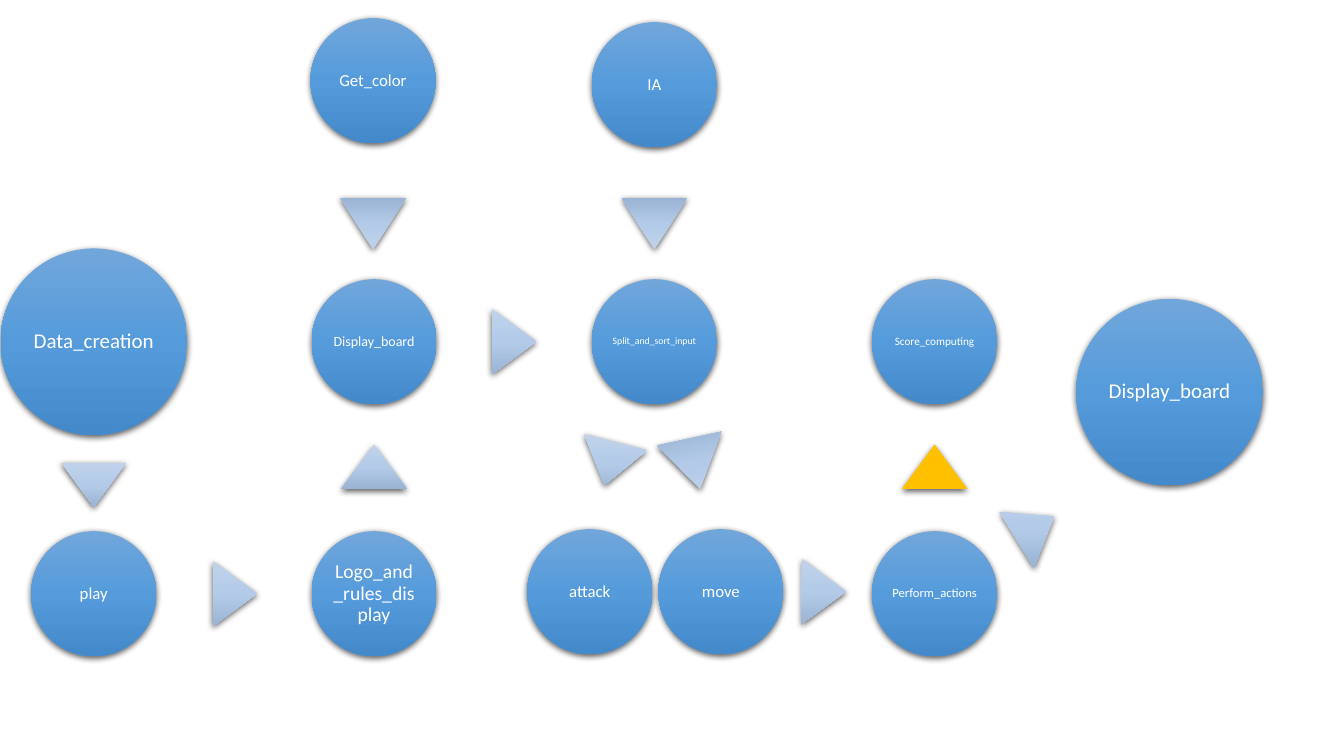
from lxml.etree import SubElement
from pptx import Presentation
from pptx.dml.color import RGBColor
from pptx.enum.shapes import MSO_SHAPE
from pptx.enum.text import MSO_ANCHOR, PP_ALIGN
from pptx.oxml.ns import qn
from pptx.util import Inches, Pt

CIRCLE_STOPS = ["71A6DB", "559BDB", "448ACA"]
ARROW_STOPS = ["C0D2EB", "B3CBE9", "9BB4D3"]
GOLD = "FFC000"
SMALL, LARGE = 1.24, 1.85  # circle diameters
ARROW_WIDTH, SHORT, TALL = 0.65, 0.44, 0.51

# Centres of the regular grid
COLUMNS = [0.93 + 2.78 * index for index in range(4)]
MIDDLE_ROW, BOTTOM_ROW = 3.39, 5.89
PAIR_ROW = 5.87  # attack and move sit slightly higher

# Label, centre x, centre y, diameter, text size
FUNCTIONS = [
    ("Data_creation", COLUMNS[0], MIDDLE_ROW, LARGE, 15),
    ("play", COLUMNS[0], BOTTOM_ROW, SMALL, 12),
    ("Logo_and_rules_display", COLUMNS[1], BOTTOM_ROW, SMALL, 14),
    ("Display_board", COLUMNS[1], MIDDLE_ROW, SMALL, 10),
    ("Split_and_sort_input", COLUMNS[2], MIDDLE_ROW, SMALL, 7),
    ("attack", 5.85, PAIR_ROW, SMALL, 12),
    ("Perform_actions", COLUMNS[3], BOTTOM_ROW, SMALL, 9),
    ("Score_computing", COLUMNS[3], MIDDLE_ROW, SMALL, 8),
    ("Display_board", 11.6, 3.89, LARGE, 15),
    ("Get_color", 3.7, 0.8, SMALL, 12),
    ("move", 7.15, PAIR_ROW, SMALL, 12),
    ("IA", COLUMNS[2], 0.84, SMALL, 12),
]

# Centre x, centre y, rotation
SHORT_ARROWS = [
    (COLUMNS[0], 4.81, 180),
    (2.33, BOTTOM_ROW, 90),
    (COLUMNS[1], 4.63, 0),
    (5.1, MIDDLE_ROW, 90),
    (6.05, 4.6, 194.4),
    (8.17, PAIR_ROW, 90.4),
    (10.27, 5.24, 58.1),
]
TALL_ARROWS = [(3.7, 2.22, 180), (6.89, 4.6, 167.8), (COLUMNS[2], 2.22, 180)]


def color(hex_value):
    return RGBColor.from_string(hex_value)


def set_gradient(shape, stops, turns_with_shape):
    """Fill from top to bottom with evenly spaced stops."""
    shape.fill.gradient()
    shape.fill.gradient_angle = 270
    gradient = shape._element.spPr.find(qn("a:gradFill"))
    gradient.set("rotWithShape", "1" if turns_with_shape else "0")
    stop_list = gradient.find(qn("a:gsLst"))
    for old_stop in list(stop_list):
        stop_list.remove(old_stop)
    for index, hex_value in enumerate(stops):
        position = 100000 * index // (len(stops) - 1)
        stop = SubElement(stop_list, qn("a:gs"), pos=str(position))
        SubElement(stop, qn("a:srgbClr"), val=hex_value)


def set_shadow(shape):
    shape.shadow.inherit = False
    effects = shape._element.spPr.find(qn("a:effectLst"))
    shadow = SubElement(effects, qn("a:outerShdw"), blurRad=str(Pt(4.5)),
                        dist=str(Pt(1.5)), dir="5400000", algn="ctr", rotWithShape="0")
    black = SubElement(shadow, qn("a:srgbClr"), val="000000")
    SubElement(black, qn("a:alpha"), val="63000")


def add_centred_shape(slide, kind, x, y, width, height):
    shape = slide.shapes.add_shape(kind, Inches(x - width / 2), Inches(y - height / 2),
                                   Inches(width), Inches(height))
    shape.line.fill.background()
    set_shadow(shape)
    return shape


def add_function(slide, label, x, y, diameter, size):
    circle = add_centred_shape(slide, MSO_SHAPE.OVAL, x, y, diameter, diameter)
    set_gradient(circle, CIRCLE_STOPS, True)
    frame = circle.text_frame
    frame.word_wrap = True
    frame.vertical_anchor = MSO_ANCHOR.MIDDLE
    frame.margin_left = frame.margin_right = Inches(0.01)
    frame.margin_top = frame.margin_bottom = Inches(0.01)
    paragraph = frame.paragraphs[0]
    paragraph.alignment = PP_ALIGN.CENTER
    paragraph.line_spacing = 0.9
    run = paragraph.add_run()
    run.text = label
    run.font.name = "Calibri"
    run.font.size = Pt(size)
    run.font.color.rgb = color("FFFFFF")


def add_arrow(slide, x, y, rotation, height):
    arrow = add_centred_shape(slide, MSO_SHAPE.ISOSCELES_TRIANGLE, x, y, ARROW_WIDTH, height)
    arrow.rotation = rotation
    return arrow


def main():
    presentation = Presentation()
    presentation.slide_width = Inches(13.33)
    presentation.slide_height = Inches(7.5)
    slide = presentation.slides.add_slide(presentation.slide_layouts[6])

    # Functions of the program
    for function in FUNCTIONS:
        add_function(slide, *function)

    # Order of the calls
    for x, y, rotation in SHORT_ARROWS:
        set_gradient(add_arrow(slide, x, y, rotation, SHORT), ARROW_STOPS, False)
    for x, y, rotation in TALL_ARROWS:
        set_gradient(add_arrow(slide, x, y, rotation, TALL), ARROW_STOPS, True)

    # Highlighted call to the score
    score_arrow = add_arrow(slide, COLUMNS[3], 4.63, 0, SHORT)
    score_arrow.fill.solid()
    score_arrow.fill.fore_color.rgb = color(GOLD)

    presentation.save("out.pptx")


main()
